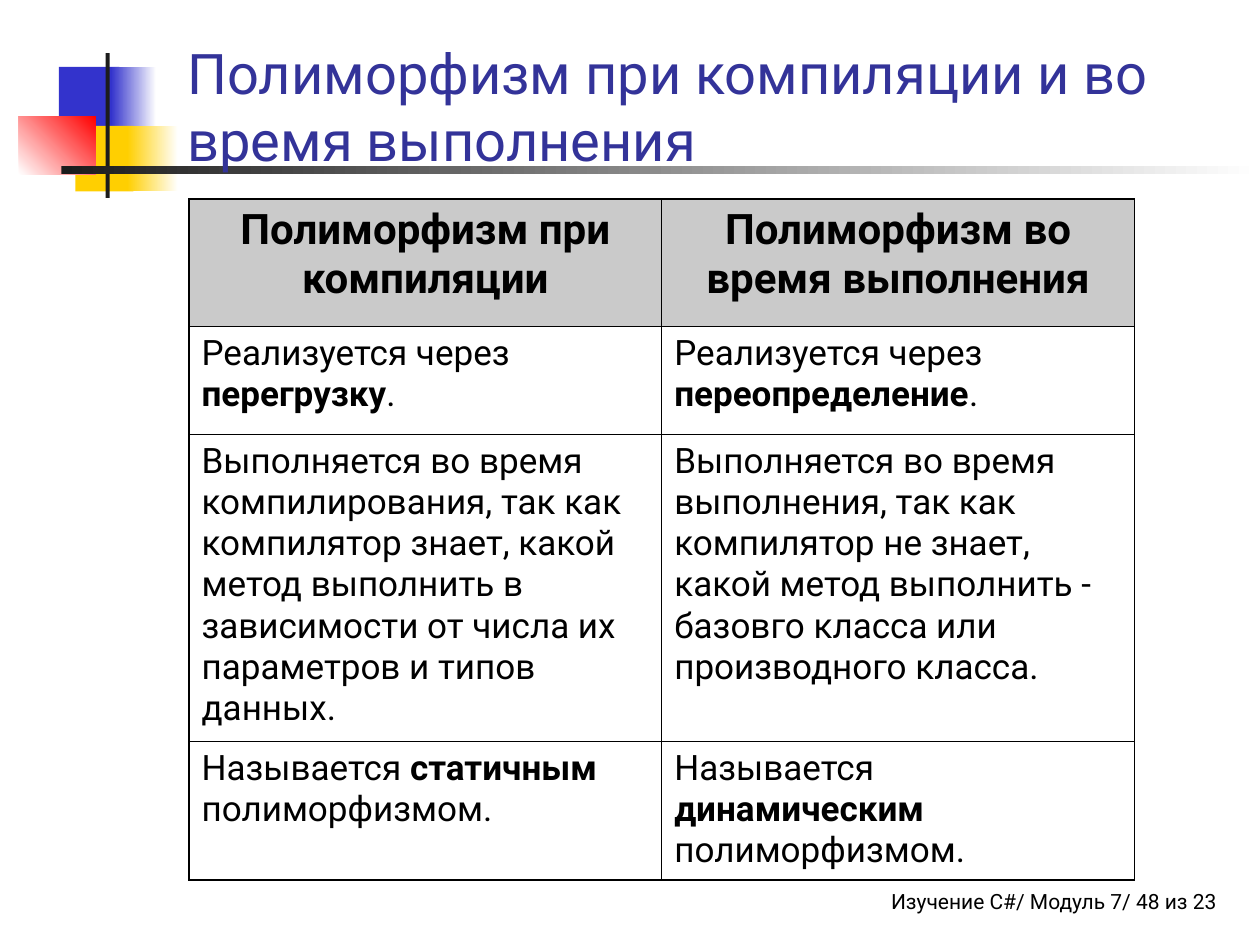
from dataclasses import dataclass

from lxml import etree
from pptx import Presentation
from pptx import util as u
from pptx.dml import color
from pptx.enum import shapes, text
from pptx.oxml import ns

FONT = "Roboto"
BLACK, WHITE, BLUE, GOLD = "000000", "FFFFFF", "3333CC", "FFCF01"
RED, DARK, INDIGO, GRAY = "FF0000", "1C1C1C", "333399", "969696"
THIN, THICK = 0.45, 1.08


@dataclass
class Block:
    x: float
    y: float
    w: float
    h: float
    tint: str
    end: str = ""
    angle: int = 0


BLOCKS = [
    Block(1.19, 1.35, 1.22, 1.32, BLUE),
    Block(2.24, 1.35, 0.91, 1.32, BLUE, WHITE),
    Block(1.52, 2.54, 1.17, 1.32, GOLD),
    Block(2.57, 2.54, 1.02, 1.32, GOLD, WHITE),
    Block(0.38, 2.34, 1.55, 1.17, WHITE, RED, 45),
    Block(2.13, 1.07, 0.08, 2.92, DARK),
    Block(1.24, 3.35, 24.16, 0.15, DARK, WHITE),
]

# Asterisks enclose bold words.
ROWS = [
    ("*Полиморфизм при компиляции*", "*Полиморфизм во время выполнения*"),
    ("Реализуется через *перегрузку*.", "Реализуется через *переопределение*."),
    ("Выполняется во время компилирования, так как компилятор знает, какой "
     "метод выполнить в зависимости от числа их параметров и типов данных.",
     "Выполняется во время выполнения, так как компилятор не знает, какой "
     "метод выполнить - базовго класса или производного класса."),
    ("Называется *статичным* полиморфизмом.",
     "Называется *динамическим* полиморфизмом."),
]
HEIGHTS = [2.57, 2.18, 6.17, 2.79]
WIDTH = 9.53


def rgb(code: str) -> color.RGBColor:
    return color.RGBColor.from_string(code)


def write(frame, words: str, size: int, tint: str, align) -> None:
    """Fill the frame with one paragraph, bold between asterisks."""
    para = frame.paragraphs[0]
    para.alignment = align
    for i, part in enumerate(words.split("*")):
        if part:
            run = para.add_run()
            run.text = part
            look = {"name": FONT, "size": u.Pt(size), "bold": i % 2 == 1}
            for key, val in look.items():
                setattr(run.font, key, val)
            run.font.color.rgb = rgb(tint)


def draw(slide, block: Block) -> None:
    shape = slide.shapes.add_shape(
        shapes.MSO_SHAPE.RECTANGLE,
        *map(u.Cm, (block.x, block.y, block.w, block.h)))
    shape.shadow.inherit = False
    shape.line.fill.background()
    if not block.end:
        shape.fill.solid()
        shape.fill.fore_color.rgb = rgb(block.tint)
        return
    shape.fill.gradient()
    shape.fill.gradient_angle = block.angle
    for stop, tint in zip(shape.fill.gradient_stops, (block.tint, block.end)):
        stop.color.rgb = rgb(tint)


def label(slide, area: tuple, words: str, size: int, tint: str, align,
          form: dict) -> None:
    frame = slide.shapes.add_textbox(*map(u.Cm, area)).text_frame
    for key, val in form.items():
        setattr(frame, key, val)
    write(frame, words, size, tint, align)


def edge(cell, sides: dict[str, float]) -> None:
    """Add cell borders, given as side letter and points, before the fill."""
    props = cell._tc.get_or_add_tcPr()
    for i, (side, width) in enumerate(sides.items()):
        line = etree.Element(ns.qn(f"a:ln{side}"), w=str(int(u.Pt(width))))
        fill = etree.SubElement(line, ns.qn("a:solidFill"))
        etree.SubElement(fill, ns.qn("a:srgbClr"), val=BLACK)
        props.insert(i, line)


def shade(cell) -> None:
    """Give the cell a half-clear gray fill."""
    cell.fill.solid()
    cell.fill.fore_color.rgb = rgb(GRAY)
    tone = cell._tc.tcPr.find(".//" + ns.qn("a:srgbClr"))
    etree.SubElement(tone, ns.qn("a:alpha"), val="50000")


def grid(slide) -> None:
    rows, cols = len(ROWS), len(ROWS[0])
    table = slide.shapes.add_table(
        rows, cols, u.Cm(3.81), u.Cm(4.01),
        u.Cm(WIDTH * cols), u.Cm(sum(HEIGHTS))).table
    table.first_row = table.horz_banding = False
    for col in table.columns:
        col.width = u.Cm(WIDTH)
    for r, (row, tall) in enumerate(zip(ROWS, HEIGHTS)):
        table.rows[r].height = u.Cm(tall)
        head = r == 0
        for c, words in enumerate(row):
            cell = table.cell(r, c)
            if head:
                shade(cell)
            else:
                cell.fill.background()
            outer = {"L": c == 0, "R": c == cols - 1,
                     "T": head, "B": r == rows - 1}
            edge(cell, {s: THICK if out else THIN for s, out in outer.items()})
            align = text.PP_ALIGN.CENTER if head else text.PP_ALIGN.LEFT
            write(cell.text_frame, words, 24 if head else 20, BLACK, align)


def main() -> None:
    deck = Presentation()
    deck.slide_width, deck.slide_height = u.Cm(25.4), u.Cm(19.05)
    slide = deck.slides.add_slide(deck.slide_layouts[6])
    label(slide, (11.63, 17.78, 12.9, 0.84), "Изучение C#/ Модуль 7/ 48 из 23",
          12, BLACK, text.PP_ALIGN.RIGHT,
          {"word_wrap": True, "margin_right": 0})
    for block in BLOCKS:
        draw(slide, block)
    label(slide, (3.53, 0.43, 21.64, 3.18),
          "Полиморфизм при компиляции и во время выполнения",
          32, INDIGO, text.PP_ALIGN.LEFT,
          {"word_wrap": True, "vertical_anchor": text.MSO_ANCHOR.BOTTOM})
    grid(slide)
    deck.save("out.pptx")


if __name__ == "__main__":
    main()
